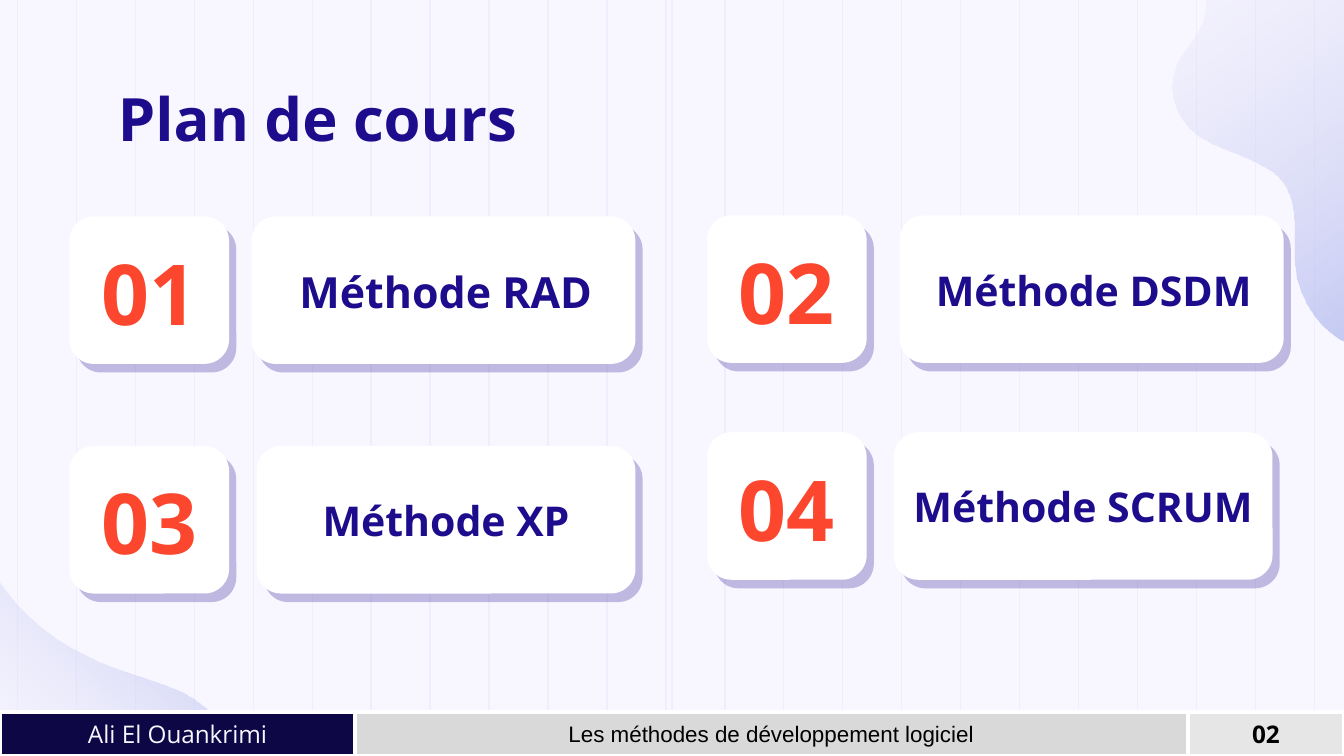
from dataclasses import dataclass

from lxml.etree import SubElement
from pptx import Presentation
from pptx.dml.color import RGBColor
from pptx.enum.shapes import MSO_CONNECTOR as Connector, MSO_SHAPE as Preset
from pptx.enum.text import MSO_ANCHOR as Anchor, MSO_AUTO_SIZE as AutoSize, PP_ALIGN as Align
from pptx.oxml.ns import qn
from pptx.util import Cm, Pt


@dataclass(frozen=True)
class Theme:
    background: str = "F8F6FF"
    stripe: str = "EFEEFC"
    wave: str = "9BA6E9"
    navy: str = "1D0D8D"
    accent: str = "FC462D"
    white: str = "FFFFFF"
    black: str = "000000"
    author_fill: str = "0E0746"
    course_fill: str = "D9D9D9"
    page_fill: str = "E7E6E6"
    font: str = "Open Sans"
    plain_font: str = "Arial"
    title_size: float = 32
    number_size: float = 45
    first_label_size: float = 23
    label_size: float = 22
    footer_size: float = 13
    course_size: float = 12


THEME = Theme()
WIDTH, HEIGHT = 25.4, 14.29

CORNER_WAVE = [
    (4.85, 3.94), (4.77, 3.33), (4.24, 2.77), (3.7, 2.49), (3.15, 2.24),
    (2.51, 2.11), (1.95, 1.83), (1.11, 1.45), (0.43, 0.81), (0, 0),
]
SIDE_WAVE = [
    (4.85, 7.42), (4.67, 7.85), (4.14, 8.41), (3.63, 8.33), (2.92, 8.2),
    (2.46, 7.42), (2.41, 6.78), (2.36, 6.27), (2.49, 5.74), (2.24, 5.31),
    (1.88, 4.7), (0.91, 4.72), (0.41, 4.19), (0.08, 3.86), (0, 3.3),
    (0.23, 2.9), (0.38, 2.62), (0.66, 2.39), (0.71, 2.06), (0.76, 1.85),
    (0.71, 1.63), (0.69, 1.42), (0.64, 0.97), (0.81, 0.33), (1.24, 0.13),
    (1.52, 0), (1.96, 0.03), (2.24, 0.15), (2.51, 0.25), (2.74, 0.46),
    (2.95, 0.66), (4.17, 1.75), (4.83, 3.3), (5.13, 4.98), (5.13, 4.98),
    (5.41, 6.32), (4.85, 7.42),
]


def color(value):
    return RGBColor.from_string(value)


def set_text(shape, text, size, ink, bold=True, font=THEME.font,
             align=Align.CENTER, anchor=Anchor.MIDDLE, top_margin=0):
    frame = shape.text_frame
    frame.text = text
    frame.word_wrap = True
    frame.auto_size = AutoSize.NONE
    frame.vertical_anchor = anchor
    frame.margin_left = frame.margin_right = Cm(0.25)
    frame.margin_top, frame.margin_bottom = Cm(top_margin), 0
    paragraph = frame.paragraphs[0]
    paragraph.alignment = align
    paragraph.font.name = font
    paragraph.font.size = Pt(size)
    paragraph.font.bold = bold
    paragraph.font.color.rgb = color(ink)


def add_box(slide, preset, box, fill):
    shape = slide.shapes.add_shape(preset, *map(Cm, box))
    shape.shadow.inherit = False
    shape.fill.solid()
    shape.fill.fore_color.rgb = color(fill)
    shape.line.fill.background()
    return shape


def add_stripes(slide, box):
    left, top, width, height = box
    count = 23
    positions = [left + width * index / (count - 1) for index in range(count)]
    for x in positions + [WIDTH / 2]:
        line = slide.shapes.add_connector(
            Connector.STRAIGHT, Cm(x), Cm(top), Cm(x), Cm(top + height))
        line.line.color.rgb = color(THEME.stripe)
        line.line.width = Pt(0.75)
        SubElement(line._element.spPr, qn("a:effectLst"))


def bend_segments(shape, count):
    outline = next(shape._element.iter(qn("a:path")))
    segments = outline.findall(qn("a:lnTo"))[:count]
    for start in range(0, count, 3):
        curve = SubElement(outline, qn("a:cubicBezTo"))
        segments[start].addprevious(curve)
        for segment in segments[start:start + 3]:
            curve.append(segment[0])
            outline.remove(segment)


def add_wave(slide, origin, curve, angle, corners=()):
    left, top = origin
    points = [(Cm(left + x), Cm(top + y)) for x, y in [*curve, *corners]]
    builder = slide.shapes.build_freeform(*points[0])
    builder.add_line_segments(points[1:], close=True)
    wave = builder.convert_to_shape()
    bend_segments(wave, len(curve) - 1)
    wave.shadow.inherit = False
    wave.line.fill.background()
    wave.fill.gradient()
    wave.fill.gradient_angle = angle
    for stop, tint in zip(wave.fill.gradient_stops, (THEME.stripe, THEME.wave)):
        stop.color.rgb = color(tint)
    for tint, alpha in zip(wave._element.spPr.iter(qn("a:srgbClr")), (13, 69)):
        SubElement(tint, qn("a:alpha"), val=str(alpha * 1000))


def add_title(slide, box, text):
    title = slide.shapes.title
    title.left, title.top, title.width, title.height = map(Cm, box)
    set_text(title, text, THEME.title_size, THEME.navy,
             align=Align.LEFT, anchor=Anchor.TOP, top_margin=0.25)
    slide.shapes._spTree.append(title._element)


def add_card(slide, box):
    card = add_box(slide, Preset.ROUNDED_RECTANGLE, box, THEME.white)
    effects = card._element.spPr.find(qn("a:effectLst"))
    shadow = SubElement(effects, qn("a:outerShdw"), blurRad="0", dist=str(Pt(6)),
                        dir=str(50 * 60000), algn="bl", rotWithShape="0")
    tint = SubElement(shadow, qn("a:srgbClr"), val=THEME.navy)
    SubElement(tint, qn("a:alpha"), val="25000")


def add_text(slide, box, text, size, ink):
    set_text(slide.shapes.add_textbox(*map(Cm, box)), text, size, ink)


def add_topic(slide, box, gap, number, text, label_box, size):
    left, top, width, height = box
    number_width = 3.02
    label_left = left + number_width + gap
    card_box = (label_left, top, left + width - label_left, height)
    add_card(slide, (left, top, number_width, height))
    add_card(slide, card_box)
    add_text(slide, (left, top + 0.32, number_width, 2.21), number,
             THEME.number_size, THEME.accent)
    add_text(slide, label_box or card_box, text, size, THEME.navy)


def add_footer(slide, box):
    left, top, width, height = box
    author_width, page_width = 6.71, 2.95
    parts = [
        (author_width, "Ali El Ouankrimi", THEME.author_fill, THEME.background,
         THEME.footer_size, False, THEME.font),
        (width - author_width - page_width, "Les méthodes de développement logiciel",
         THEME.course_fill, THEME.black, THEME.course_size, False, THEME.plain_font),
        (page_width, "02", THEME.page_fill, THEME.black,
         THEME.footer_size, True, THEME.font),
    ]
    for part_width, text, fill, ink, size, bold, font in parts:
        part = add_box(slide, Preset.RECTANGLE, (left, top, part_width, height), fill)
        part.line.color.rgb = color(THEME.white)
        part.line.width = Pt(2)
        set_text(part, text, size, ink, bold, font)
        left += part_width


def build_plan_slide(presentation):
    slide = presentation.slides.add_slide(presentation.slide_layouts[5])
    slide.background.fill.solid()
    slide.background.fill.fore_color.rgb = color(THEME.background)
    add_stripes(slide, (0.33, 0, 24.51, HEIGHT))
    add_wave(slide, (-0.25, 10.59), CORNER_WAVE, 45, corners=[(0, 3.94)])
    add_wave(slide, (22.07, -1.78), SIDE_WAVE, 305)
    add_title(slide, (1.98, 1.3, 10.69, 1.96), "Plan de cours")
    topics = [
        ((1.31, 4.09, 10.7, 2.79), 0.42, "Méthode RAD",
         (4.85, 4.4, 7.16, 2.21), THEME.first_label_size),
        ((13.36, 4.07, 10.9, 2.79), 0.62, "Méthode DSDM",
         (16.9, 4.1, 7.54, 2.77), THEME.label_size),
        ((1.31, 8.43, 10.7, 2.79), 0.52, "Méthode XP", None, THEME.label_size),
        ((13.36, 8.17, 10.69, 2.79), 0.51, "Méthode SCRUM", None, THEME.label_size),
    ]
    for index, (box, gap, text, label_box, size) in enumerate(topics, start=1):
        add_topic(slide, box, gap, f"{index:02}", text, label_box, size)
    add_footer(slide, (0, 13.46, WIDTH, 0.83))


def main():
    presentation = Presentation()
    presentation.slide_width = Cm(WIDTH)
    presentation.slide_height = Cm(HEIGHT)
    build_plan_slide(presentation)
    presentation.save("out.pptx")


if __name__ == "__main__":
    main()
